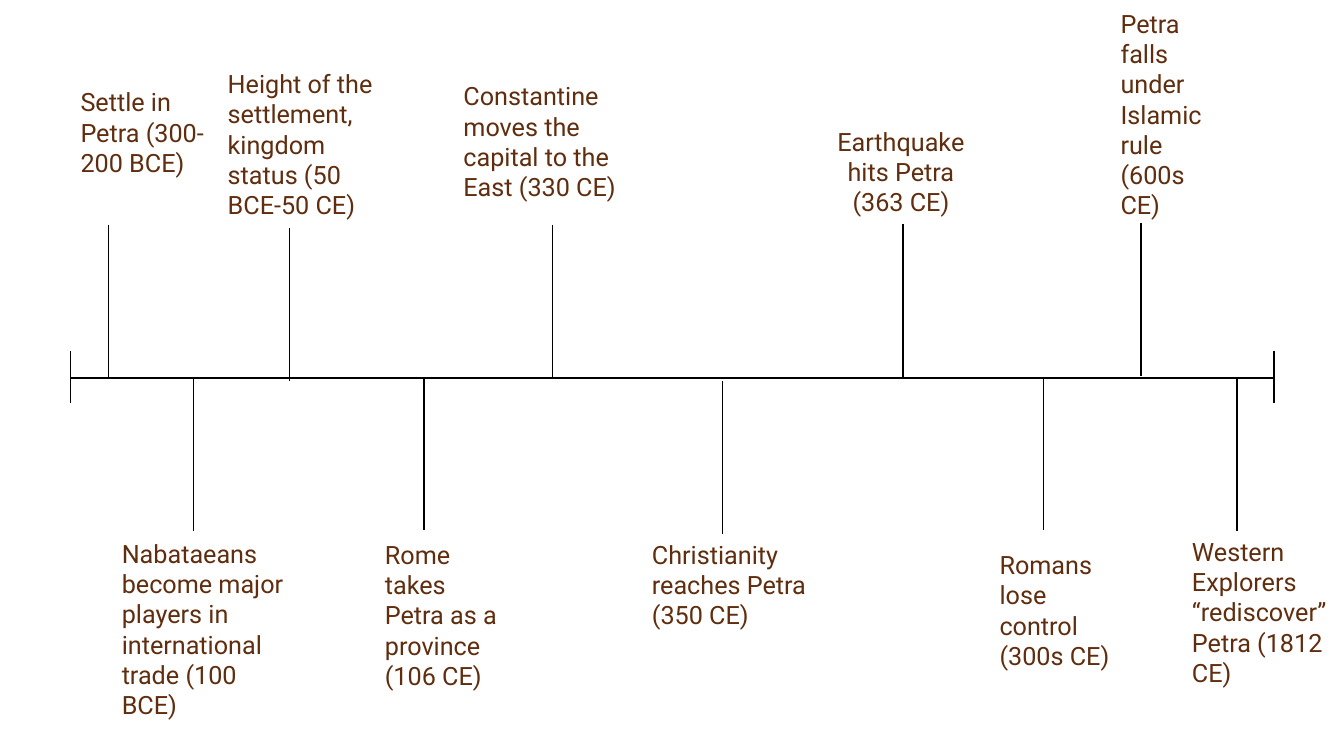
from dataclasses import dataclass

from lxml import etree
from pptx import Presentation
from pptx import util as u
from pptx.dml.color import RGBColor
from pptx.enum import shapes, text
from pptx.oxml.ns import qn
from pptx.slide import Slide

COLOURS = {"line": "000000", "label": "602E0F"}
FONT = {"name": "Roboto", "size": u.Pt(18)}
FRAME = {"word_wrap": True, "auto_size": text.MSO_AUTO_SIZE.SHAPE_TO_FIT_TEXT}
AXIS_LEFT, AXIS_RIGHT, AXIS_Y = 1.78, 32.11, 9.53
CAP_TOP, CAP_BOTTOM = 8.84, 10.16
STEM_LENGTH = 3.86


@dataclass
class Event:
    label: str
    stem_x: float
    stem_top: float
    left: float
    top: float
    width: float
    height: float
    align: text.PP_ALIGN = text.PP_ALIGN.LEFT


EVENTS = [
    Event("Settle in Petra (300-200 BCE)", 2.74, 5.66, 1.78, 2.06, 3.71, 3.33),
    Event("Nabataeans become major players in international trade (100 BCE)",
          4.88, 9.53, 2.82, 13.44, 4.6, 5.64),
    Event("Height of the settlement, kingdom status (50 BCE-50 CE)",
          7.29, 5.74, 5.49, 1.6, 4.65, 4.11),
    Event("Rome takes Petra as a province (106 CE)", 10.69, 9.5, 9.45, 13.46, 3.51, 4.11),
    Event("Constantine moves the capital to the East (330 CE)",
          13.92, 5.66, 11.43, 1.91, 4.9, 3.33),
    Event("Christianity reaches Petra (350 CE)", 18.21, 9.6, 16.18, 13.46, 4.98, 2.57),
    Event("Earthquake hits Petra (363 CE)", 22.76, 5.64, 20.47, 3.05, 4.47, 2.57,
          text.PP_ALIGN.CENTER),
    Event("Romans lose control (300s CE)", 26.29, 9.5, 24.94, 13.72, 3.81, 3.33),
    Event("Petra falls under Islamic rule (600s CE)", 28.75, 5.61, 27.99, 0.08, 3.0, 5.64),
    Event("Western Explorers “rediscover” Petra (1812 CE)",
          31.17, 9.53, 29.79, 13.39, 4.6, 4.11),
]


def set_values(target: object, values: dict) -> None:
    for name, value in values.items():
        setattr(target, name, value)


def draw_line(page: Slide, x1: float, y1: float, x2: float, y2: float,
              weight: float = 1) -> None:
    line = page.shapes.add_connector(
        shapes.MSO_CONNECTOR.STRAIGHT, u.Cm(x1), u.Cm(y1), u.Cm(x2), u.Cm(y2))
    line.line.width = u.Pt(weight)
    line.line.color.rgb = RGBColor.from_string(COLOURS["line"])
    etree.SubElement(line._element.spPr, qn("a:effectLst"))


def draw_event(page: Slide, event: Event) -> None:
    draw_line(page, event.stem_x, event.stem_top, event.stem_x, event.stem_top + STEM_LENGTH)
    box = page.shapes.add_textbox(
        u.Cm(event.left), u.Cm(event.top), u.Cm(event.width), u.Cm(event.height))
    set_values(box.text_frame, FRAME)
    para = box.text_frame.paragraphs[0]
    para.alignment = event.align
    span = para.add_run()
    span.text = event.label
    set_values(span.font, FONT)
    span.font.color.rgb = RGBColor.from_string(COLOURS["label"])


def main() -> None:
    deck = Presentation()
    set_values(deck, {"slide_width": u.Cm(33.87), "slide_height": u.Cm(19.05)})
    page = deck.slides.add_slide(deck.slide_layouts[6])
    draw_line(page, AXIS_LEFT, AXIS_Y, AXIS_RIGHT, AXIS_Y, 1.5)
    for cap_x in (AXIS_LEFT, AXIS_RIGHT):
        draw_line(page, cap_x, CAP_TOP, cap_x, CAP_BOTTOM)
    for event in EVENTS:
        draw_event(page, event)
    deck.save("out.pptx")


if __name__ == "__main__":
    main()
